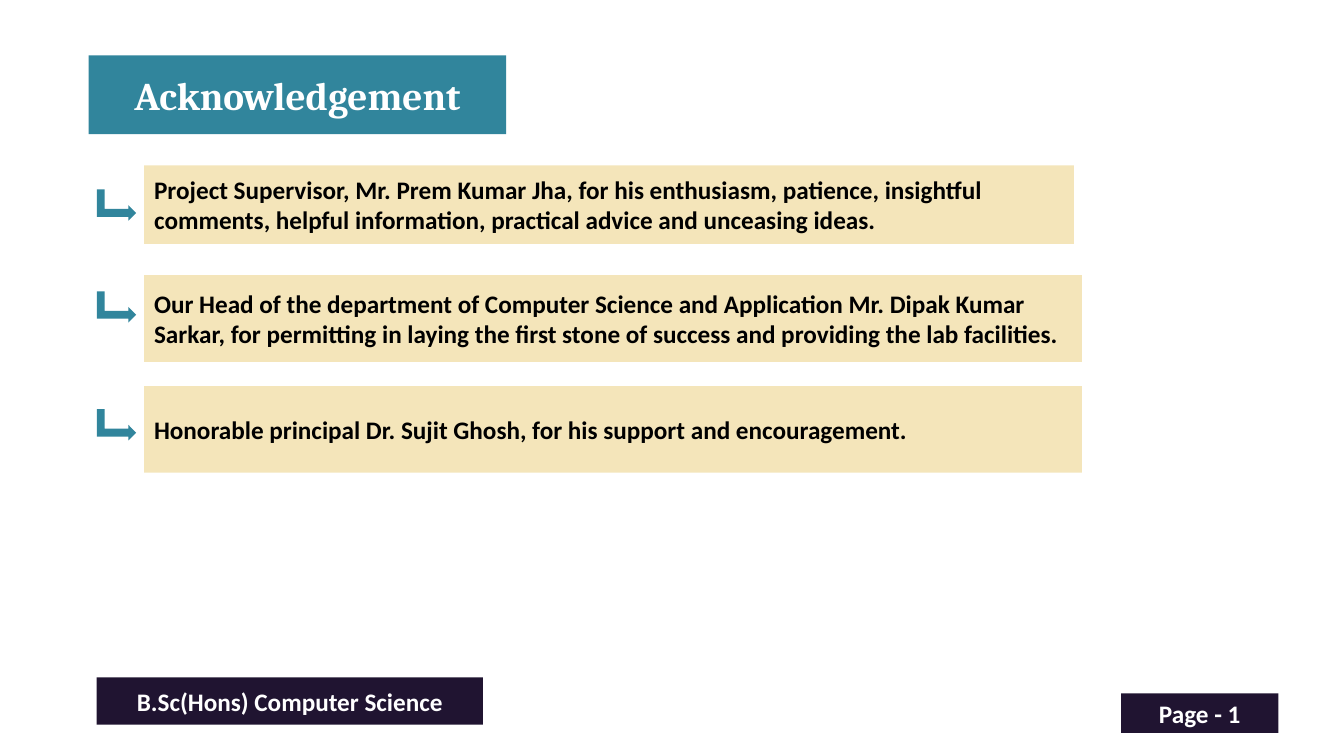
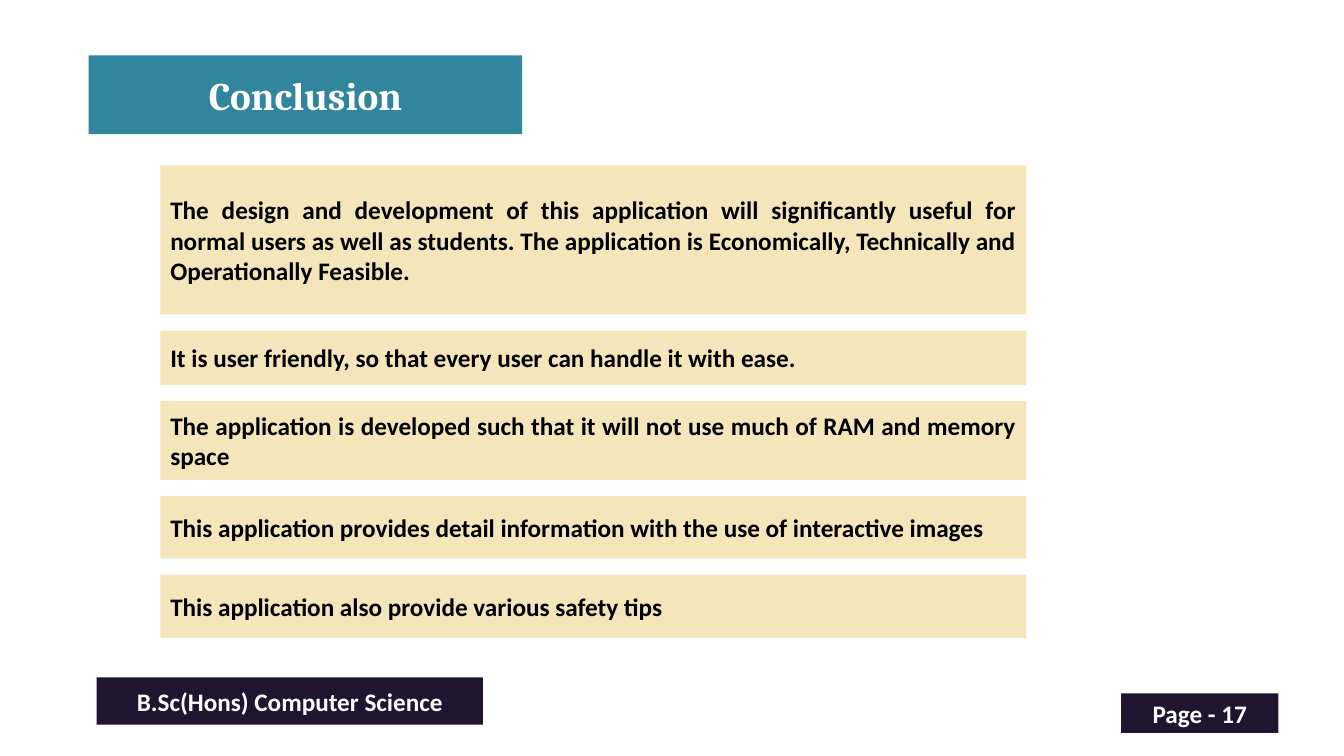
from dataclasses import dataclass

from pptx import Presentation
from pptx import util as u
from pptx.dml import color
from pptx.enum import shapes, text


@dataclass(frozen=True)
class Theme:
    teal: str = "31859C"
    dark: str = "201431"
    sand: str = "F4E5BA"
    white: str = "FFFFFF"
    black: str = "000000"
    head: str = "Cambria"
    body: str = "Calibri"
    large: int = 28
    small: int = 18


THEME = Theme()
KIND = shapes.MSO_SHAPE
ALIGN = text.PP_ALIGN
SCALE = 9144
TITLE = (88, 55, 78)
COURSE = (96, 672, 383, 47)
PAGE = (1112, 688, 156, 39)

THANKS = [
    (0, 922, 78, 20, "Project Supervisor, Mr. Prem Kumar Jha, for his enthusiasm, patience, "
     "insightful comments, helpful information, practical advice and unceasing ideas."),
    (109, 930, 86, 12, "Our Head of the department of Computer Science and Application "
     "Mr. Dipak Kumar Sarkar, for permitting in laying the first stone of success "
     "and providing the lab facilities."),
    (219, 930, 86, 19, "Honorable principal Dr. Sujit Ghosh, for his support and encouragement."),
]
POINTS = [
    (148, "The design and development of this application will significantly useful "
     "for normal users as well as students. The application is Economically, "
     "Technically and Operationally Feasible."),
    (54, "It is user friendly, so that every user can handle it with ease."),
    (78, "The application is developed such that it will not use much of RAM and memory space"),
    (62, "This application provides detail information with the use of interactive images"),
    (63, "This application also provide various safety tips"),
]


def px(n):
    return u.Emu(n * SCALE)


def shape(slide, kind, box, fill):
    item = slide.shapes.add_shape(kind, *map(px, box))
    item.shadow.inherit = False
    item.fill.solid()
    item.fill.fore_color.rgb = color.RGBColor.from_string(fill)
    item.line.fill.background()
    return item


def panel(slide, box, words, fill, ink=THEME.white, align=ALIGN.CENTER,
          face=THEME.body, size=THEME.small):
    frame = shape(slide, KIND.RECTANGLE, box, fill).text_frame
    frame.word_wrap = True
    frame.vertical_anchor = text.MSO_ANCHOR.MIDDLE
    para = frame.paragraphs[0]
    para.text = words
    para.alignment = align
    font = para.font
    font.name, font.size, font.bold = face, u.Pt(size), True
    font.color.rgb = color.RGBColor.from_string(ink)


def note(slide, box, words, align):
    panel(slide, box, words, THEME.sand, THEME.black, align)


def base(deck, title, width, page):
    slide = deck.slides.add_slide(deck.slide_layouts[6])
    left, top, height = TITLE
    panel(slide, (left, top, width, height), title, THEME.teal,
          face=THEME.head, size=THEME.large)
    panel(slide, PAGE, f"Page - {page}", THEME.dark)
    panel(slide, COURSE, "B.Sc(Hons) Computer Science", THEME.dark)
    return slide


def thanks(slide, left, top):
    for down, width, height, drop, words in THANKS:
        note(slide, (left, top + down, width, height), words, ALIGN.LEFT)
        arrow = shape(slide, KIND.BENT_UP_ARROW,
                      (left - 43, top + down + drop, 31, 39), THEME.teal)
        arrow.rotation = 90


def points(slide, left, top, width, gap):
    for height, words in POINTS:
        note(slide, (left, top, width, height), words, ALIGN.JUSTIFY)
        top += height + gap


def main():
    deck = Presentation()
    deck.slide_width, deck.slide_height = px(1333), px(750)
    thanks(base(deck, "Acknowledgement", 414, 1), 143, 164)
    points(base(deck, "Conclusion", 430, 17), 159, 164, 859, 16)
    deck.save("out.pptx")


if __name__ == "__main__":
    main()
